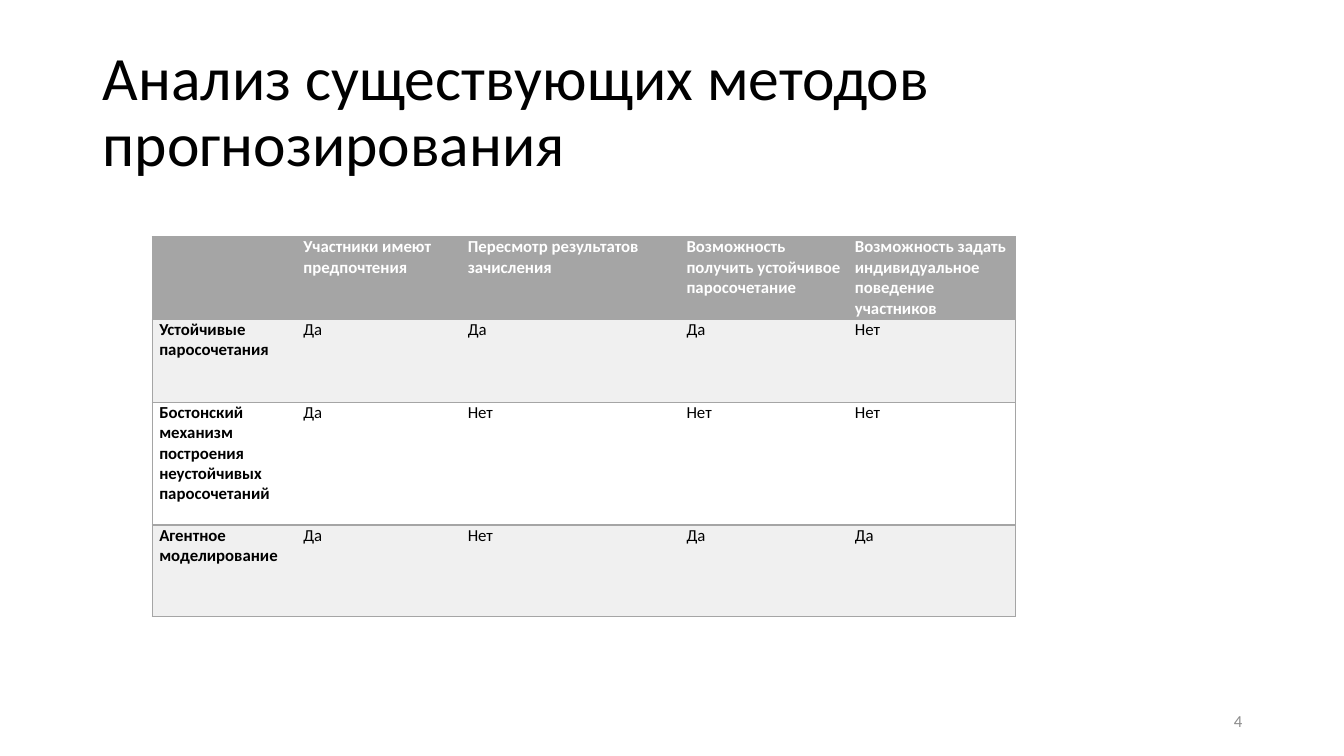
import pptx
import pptx.dml.color
import pptx.enum.text
import pptx.oxml
import pptx.oxml.ns
import pptx.util
from pptx.util import Inches

ALIGN = pptx.enum.text.PP_ALIGN
ANCHOR = pptx.enum.text.MSO_ANCHOR
GREY = "A5A5A5"
COLUMN_WIDTHS = [1.43, 1.63, 2.17, 1.67, 1.66]
ROW_HEIGHTS = [0.82, 0.82, 1.22, 0.91]
ROW_FILLS = [GREY, "F0F0F0", "FFFFFF", "F0F0F0"]
METHODS = [
    ["", "Участники имеют предпочтения", "Пересмотр результатов зачисления",
     "Возможность получить устойчивое паросочетание",
     "Возможность задать индивидуальное поведение участников"],
    ["Устойчивые паросочетания", "Да", "Да", "Да", "Нет"],
    ["Бостонский механизм построения неустойчивых паросочетаний",
     "Да", "Нет", "Нет", "Нет"],
    ["Агентное моделирование", "Да", "Нет", "Да", "Да"],
]


def colour(value):
    return pptx.dml.color.RGBColor.from_string(value)


def set_attributes(target, values):
    for name, value in values.items():
        setattr(target, name, value)


def write_text(frame, text, size, font_colour, bold=False, **paragraph_format):
    paragraph = frame.paragraphs[0]
    set_attributes(paragraph, paragraph_format)
    run = paragraph.add_run()
    run.text = text
    set_attributes(run.font, {
        "name": "Calibri", "size": pptx.util.Pt(size), "bold": bold})
    run.font.color.rgb = colour(font_colour)


def place(shape, left, top, width, height):
    set_attributes(shape, {
        "left": Inches(left), "top": Inches(top),
        "width": Inches(width), "height": Inches(height)})


def add_title(slide, text):
    title = slide.shapes.title
    place(title, 0.92, 0.4, 11.5, 1.45)
    set_attributes(title.text_frame, {
        "word_wrap": True, "vertical_anchor": ANCHOR.MIDDLE,
        "auto_size": pptx.enum.text.MSO_AUTO_SIZE.NONE})
    write_text(title.text_frame, text, 44, "000000",
               alignment=ALIGN.LEFT, line_spacing=0.9)


def add_borders(cell, visible_sides):
    properties = cell._tc.get_or_add_tcPr()
    namespace = pptx.oxml.ns.nsdecls("a")
    for side in "LRTB":
        if side in visible_sides:
            paint = f'<a:solidFill><a:srgbClr val="{GREY}"/></a:solidFill>'
        else:
            paint = "<a:noFill/>"
        properties.append(pptx.oxml.parse_xml(
            f'<a:ln{side} {namespace} w="12700">{paint}</a:ln{side}>'))


def format_cell(cell, text, row, column):
    set_attributes(cell, {
        "margin_left": Inches(0.07), "margin_right": Inches(0.07),
        "margin_top": 0, "margin_bottom": 0,
        "vertical_anchor": ANCHOR.TOP})
    outer_sides = {0: "L", len(COLUMN_WIDTHS) - 1: "R"}
    add_borders(cell, "TB" + outer_sides.get(column, ""))
    cell.fill.solid()
    cell.fill.fore_color.rgb = colour(ROW_FILLS[row])
    if text:
        write_text(cell.text_frame, text, 12, "000000" if row else "FFFFFF",
                   bold=row == 0 or column == 0)


def add_method_table(slide):
    frame = slide.shapes.add_table(
        len(ROW_HEIGHTS), len(COLUMN_WIDTHS), Inches(1.51), Inches(2.35),
        Inches(sum(COLUMN_WIDTHS)), Inches(sum(ROW_HEIGHTS)))
    table = frame.table
    set_attributes(table, {"first_row": False, "horz_banding": False})
    for column, width in zip(table.columns, COLUMN_WIDTHS):
        column.width = Inches(width)
    for row, height in zip(table.rows, ROW_HEIGHTS):
        row.height = Inches(height)
    for row, texts in enumerate(METHODS):
        for column, text in enumerate(texts):
            format_cell(table.cell(row, column), text, row, column)


def add_page_number(slide, number):
    box = slide.shapes.add_textbox(
        Inches(9.42), Inches(6.95), Inches(3), Inches(0.4))
    set_attributes(box.text_frame, {
        "word_wrap": True, "vertical_anchor": ANCHOR.MIDDLE})
    write_text(box.text_frame, number, 12, "8C8C8C", alignment=ALIGN.RIGHT)


def main():
    presentation = pptx.Presentation()
    set_attributes(presentation, {
        "slide_width": Inches(13.33), "slide_height": Inches(7.5)})
    slide = presentation.slides.add_slide(presentation.slide_layouts[5])
    add_title(slide, "Анализ существующих методов прогнозирования")
    add_method_table(slide)
    add_page_number(slide, "4")
    presentation.save("out.pptx")


if __name__ == "__main__":
    main()
